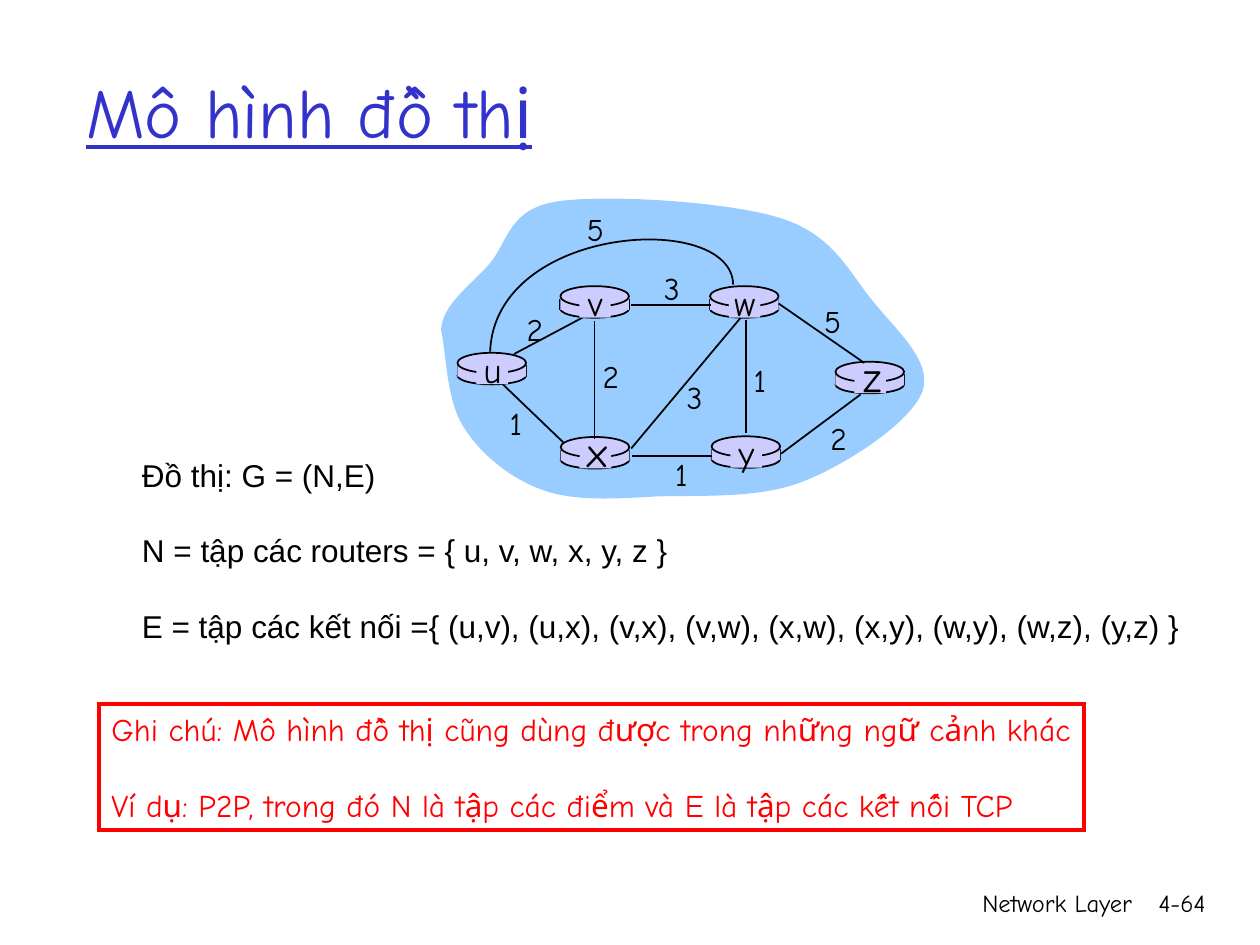
from typing import NamedTuple, Optional

from lxml.etree import SubElement
from pptx import Presentation
from pptx.dml.color import RGBColor
from pptx.enum.shapes import MSO_CONNECTOR, MSO_SHAPE
from pptx.enum.text import MSO_ANCHOR, MSO_AUTO_SIZE, PP_ALIGN
from pptx.oxml.ns import qn
from pptx.util import Pt

COMIC, ARIAL = "Comic Neue", "Arial"
BLACK, RED, BLUE = "000000", "FF0000", "3333CC"
CLOUD, LILAC = "99CCFF", "CCCCFF"
DRUM_WIDTH = 39.2

Point = tuple[float, float]


class Router(NamedTuple):
    name: str
    left: float
    top: float
    size: int = 20


class Edge(NamedTuple):
    start: Point
    end: Point
    weight: str
    weight_center: Point


ROUTERS = [
    Router("u", 261.4, 201.6),
    Router("x", 320.4, 249.7, 24),
    Router("v", 320.2, 163.5),
    Router("w", 405.7, 163.5),
    Router("y", 406.6, 249.3),
    Router("z", 477.4, 206.7, 24),
]

EDGE_BEHIND = Edge((293.8, 202.3), (337, 179.3), "2", (305.6, 187.9))  # u-v
EDGES_IN_FRONT = [
    Edge((426.2, 182.9), (426.2, 247.7), "1", (434.2, 217.4)),  # w-y
    Edge((339.8, 183.6), (339.8, 250.6), "2", (349, 215)),  # v-x
    Edge((360.7, 256.3), (423.4, 181.4), "3", (396.9, 226.8)),  # x-w
    Edge((446.4, 259.2), (491.8, 225.4), "2", (479.2, 250.4)),  # y-z
    Edge((406.8, 260.6), (361.4, 260.6), "1", (389.3, 270.7)),  # x-y
    Edge((321.8, 252.7), (287.3, 219.6), "1", (294.7, 241.9)),  # u-x
    Edge((406.1, 174.2), (360.7, 174.2), "3", (383.9, 164.5)),  # v-w
    Edge((493.9, 207.4), (445, 173.5), "5", (475.8, 183.2)),  # w-z
]

# Bezier outlines: a start point, then two controls and an end per segment
CLOUD_OUTLINE = [
    (252, 188.6),
    (252.7, 174.2), (268.6, 163.4), (279.4, 151.2),
    (290.2, 139), (290.2, 119.5), (318.2, 115.2),
    (345.6, 110.9), (416.2, 115.2), (445.7, 124.6),
    (475.9, 133.9), (484.6, 154.8), (498.2, 171.4),
    (511.2, 187.9), (533.5, 206.6), (527, 223.9),
    (520.6, 241.2), (484.6, 265), (459.4, 275),
    (434.2, 285.1), (401, 283), (375.8, 283.7),
    (351.4, 285.1), (328.3, 286.6), (310.3, 280.1),
    (291.6, 273.6), (274.3, 259.2), (265, 244.1),
    (254.9, 229), (254.9, 200.2), (252, 188.6),
]
ARC_U_W = [(419, 162.7), (418.3, 120.2), (283, 128.2), (280.1, 200.9)]


def color(value: str) -> RGBColor:
    return RGBColor.from_string(value)


def paint(shape, fill: Optional[str], line: Optional[str], width: float = 1) -> None:
    shape.shadow.inherit = False
    if fill:
        shape.fill.solid()
        shape.fill.fore_color.rgb = color(fill)
    else:
        shape.fill.background()
    if line:
        shape.line.color.rgb = color(line)
        shape.line.width = Pt(width)
    else:
        shape.line.fill.background()


def add_preset(shapes, kind, left: float, top: float, width: float, height: float,
               fill: Optional[str], line: Optional[str] = None, line_width: float = 1):
    shape = shapes.add_shape(kind, Pt(left), Pt(top), Pt(width), Pt(height))
    paint(shape, fill, line, line_width)
    return shape


def add_line(shapes, start: Point, end: Point) -> None:
    line = shapes.add_connector(MSO_CONNECTOR.STRAIGHT, *map(Pt, start + end))
    line.line.color.rgb = color(BLACK)
    line.line.width = Pt(1)
    SubElement(line.element.spPr, qn("a:effectLst"))


def add_curve(shapes, outline: list[Point], fill: Optional[str], line: Optional[str],
              close: bool) -> None:
    start, *rest = [(Pt(x), Pt(y)) for x, y in outline]
    builder = shapes.build_freeform(*start)
    builder.add_line_segments(rest, close=close)
    shape = builder.convert_to_shape()
    paint(shape, fill, line)
    # Turn each three line segments into one Bezier segment
    segments = list(shape.element.iter(qn("a:lnTo")))
    for first in range(0, len(segments), 3):
        triple = segments[first:first + 3]
        curve = triple[0].makeelement(qn("a:cubicBezTo"))
        triple[0].addprevious(curve)
        for segment in triple:
            curve.append(segment[0])
            segment.getparent().remove(segment)


def write(shape, lines: list[str], size: int, font: str = COMIC, text_color: str = BLACK,
          align=PP_ALIGN.LEFT, gap: float = 0, wrap: bool = False) -> None:
    frame = shape.text_frame
    frame.word_wrap = wrap
    frame.auto_size = MSO_AUTO_SIZE.NONE
    frame.vertical_anchor = MSO_ANCHOR.TOP
    for index, line in enumerate(lines):
        paragraph = frame.paragraphs[0] if index == 0 else frame.add_paragraph()
        paragraph.text = line
        paragraph.alignment = align
        if index:
            paragraph.space_before = Pt(gap)
        paragraph.font.name = font
        paragraph.font.size = Pt(size)
        paragraph.font.color.rgb = color(text_color)


def add_text(shapes, left: float, top: float, width: float, height: float,
             lines: list[str], size: int, **options) -> None:
    write(shapes.add_textbox(Pt(left), Pt(top), Pt(width), Pt(height)), lines, size, **options)


def add_label(shapes, center: Point, text: str, size: int) -> None:
    width, height = 24, size * 1.2 + 7.2
    add_text(shapes, center[0] - width / 2, center[1] - height / 2, width, height,
             [text], size, align=PP_ALIGN.CENTER)


def add_drum(shapes, router: Router) -> None:
    left, top = router.left, router.top
    add_preset(shapes, MSO_SHAPE.OVAL, left, top + 8, DRUM_WIDTH, 10.1, LILAC, BLACK)
    for x in (left, left + DRUM_WIDTH):
        add_line(shapes, (x, top + 7.2), (x, top + 13.6))
    add_preset(shapes, MSO_SHAPE.RECTANGLE, left, top + 7.2, DRUM_WIDTH, 6.4, LILAC)
    add_preset(shapes, MSO_SHAPE.OVAL, left, top, DRUM_WIDTH, 11.6, LILAC, BLACK)


def add_router_name(shapes, router: Router) -> None:
    add_preset(shapes, MSO_SHAPE.RECTANGLE, router.left + 10.8, router.top + 1.5, 18, 16.5, LILAC)
    shift, drop = (0.4, 9.5) if router.size == 20 else (1.4, 7.8)
    center = (router.left + DRUM_WIDTH / 2 + shift, router.top + drop)
    add_label(shapes, center, router.name, router.size)


def main() -> None:
    presentation = Presentation()
    presentation.slide_width, presentation.slide_height = Pt(720), Pt(540)
    slide = presentation.slides.add_slide(presentation.slide_layouts[5])
    shapes = slide.shapes

    # Title
    title = shapes.title
    title.left, title.top, title.width, title.height = Pt(42), Pt(18), Pt(612), Pt(90)
    write(title, ["Mô hình đồ thị"], 40, text_color=BLUE, wrap=True)
    title.text_frame.vertical_anchor = MSO_ANCHOR.MIDDLE
    title.text_frame.paragraphs[0].font.underline = True

    # Network graph
    add_curve(shapes, CLOUD_OUTLINE, CLOUD, None, close=True)
    add_line(shapes, EDGE_BEHIND.start, EDGE_BEHIND.end)
    for router in ROUTERS:
        add_drum(shapes, router)
    for edge in EDGES_IN_FRONT:
        add_line(shapes, edge.start, edge.end)
    add_curve(shapes, ARC_U_W, None, BLACK, close=False)
    for router in ROUTERS:
        add_router_name(shapes, router)
    for edge in [EDGE_BEHIND, *EDGES_IN_FRONT]:
        add_label(shapes, edge.weight_center, edge.weight, 18)
    add_label(shapes, (340.2, 131), "5", 18)  # weight of the u-w arc

    # Definitions
    add_text(shapes, 74, 257, 613.4, 115.2, [
        "Đồ thị: G = (N,E)",
        "N = tập các routers = { u, v, w, x, y, z }",
        "E = tập các kết nối ={ (u,v), (u,x), (v,x), (v,w), (x,w), (x,y), (w,y), (w,z), (y,z) }",
    ], 18, font=ARIAL, gap=21.6)

    # Note
    note = add_preset(shapes, MSO_SHAPE.RECTANGLE, 56.6, 402.2, 563, 72, None, RED, 2.25)
    SubElement(note.line._get_or_add_ln(), qn("a:miter"), lim="800000")
    write(note, [
        "Ghi chú: Mô hình đồ thị cũng dùng được trong những ngữ cảnh khác",
        "Ví dụ: P2P, trong đó N là tập các điểm và E là tập các kết nối TCP",
    ], 18, text_color=RED, gap=21.6)

    # Footer
    for left, width, text in ((426, 228, "Network Layer"), (643, 53, "4-64")):
        add_text(shapes, left, 504, width, 36, [text], 14, align=PP_ALIGN.RIGHT, wrap=True)

    presentation.save("out.pptx")


if __name__ == "__main__":
    main()
